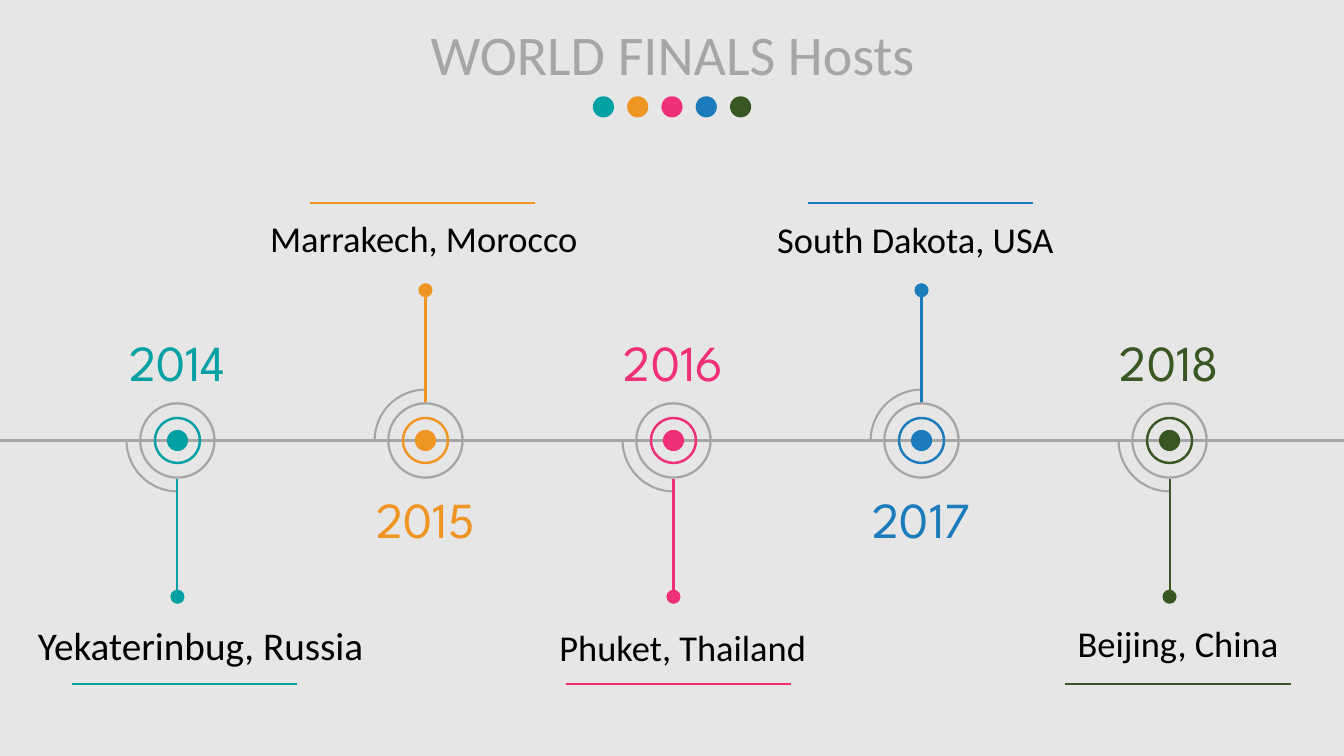
from pptx import Presentation
from pptx.dml.color import RGBColor
from pptx.enum.shapes import MSO_CONNECTOR, MSO_SHAPE
from pptx.enum.text import MSO_AUTO_SIZE, PP_ALIGN
from pptx.oxml.ns import qn
from pptx.util import Inches, Pt
from lxml import etree

LINE = MSO_CONNECTOR.STRAIGHT
OVAL, RING, ARC = MSO_SHAPE.OVAL, MSO_SHAPE.DONUT, MSO_SHAPE.ARC
GROW = MSO_AUTO_SIZE.SHAPE_TO_FIT_TEXT
CENTER, LEFT = PP_ALIGN.CENTER, PP_ALIGN.LEFT

GREY, BLACK, BACK = "A6A6A6", "000000", "E7E6E6"
TITLE = "WORLD FINALS Hosts"
BODY, HEAD = "Calibri", "League Spartan"

# year, place, colour, label box, label size, label indent, left end of rule
HOSTS = [
    ("2014", "Yekaterinbug, Russia", "03A1A4", (0.24, 6.11, 3.5, 0.57), 28, 0, 0.71),
    ("2015", "Marrakech, Morocco", "EE9524", (1.58, 2.09, 4.38, 0.54), 26, 1, 3.07),
    ("2016", "Phuket, Thailand", "EF3078", (4.45, 6.15, 4.42, 0.54), 26, 1, 5.61),
    ("2017", "South Dakota, USA", "1C7CBB", (6.61, 2.11, 4.79, 0.54), 26, 1, 8.01),
    ("2018", "Beijing, China", "385723", (9.59, 6.11, 3.5, 0.54), 26, 1, 10.56),
]
WIDE, TALL = 13.33, 7.5
AXIS, START, STEP = 4.37, 1.76, 2.46
RULE = 2.24
# year top, stem start, stem end, pin centre, rule height
UP = (4.79, 3.99, 2.86, 2.88, 2.01)
DOWN = (3.24, 4.75, 5.88, 5.92, 6.79)

prs = Presentation()
prs.slide_width, prs.slide_height = Inches(WIDE), Inches(TALL)
slide = prs.slides.add_slide(prs.slide_layouts[6])


def rgb(color):
    return RGBColor.from_string(color)


def line(x1, y1, x2, y2, color):
    item = slide.shapes.add_connector(
        LINE, Inches(x1), Inches(y1), Inches(x2), Inches(y2))
    item.line.color.rgb = rgb(color)
    item.line.width = Pt(1.5)
    etree.SubElement(item.element.spPr, qn("a:effectLst"))


def round_shape(kind, x, y, size, color, adjust=()):
    """Add a circle, ring or arc centred on x, y."""
    item = slide.shapes.add_shape(
        kind, Inches(x - size / 2), Inches(y - size / 2), Inches(size), Inches(size))
    item.shadow.inherit = False
    for i, value in enumerate(adjust):
        item.adjustments[i] = value
    if kind == ARC:
        item.fill.background()
        item.line.color.rgb = rgb(color)
        item.line.width = Pt(1.5)
    else:
        item.fill.solid()
        item.fill.fore_color.rgb = rgb(color)
        item.line.fill.background()
    return item


def label(words, box, size, face, color, indent=0):
    """Add centred text, or left-aligned text when it is indented."""
    frame = slide.shapes.add_textbox(*map(Inches, box)).text_frame
    frame.word_wrap = True
    frame.auto_size = GROW
    frame.text = words
    para = frame.paragraphs[0]
    para.alignment = LEFT if indent else CENTER
    if indent:
        props = para._p.get_or_add_pPr()
        props.set("marL", str(Inches(indent)))
        props.set("indent", "0")
    font = para.runs[0].font
    font.size, font.name = Pt(size), face
    font.color.rgb = rgb(color)


slide.background.fill.solid()
slide.background.fill.fore_color.rgb = rgb(BACK)
line(0, AXIS, WIDE, AXIS, GREY)

for i, (year, place, color, box, size, indent, left) in enumerate(HOSTS):
    x = START + i * STEP
    up = i % 2 == 1
    top, near, far, pin, rule = UP if up else DOWN
    arc = round_shape(ARC, x, AXIS, 1.01, GREY, (54.2, 108.53))
    arc.rotation = 90 if up else 0
    round_shape(OVAL, x, AXIS, 0.21, color)
    round_shape(RING, x, AXIS, 0.47, color, (0.05,))
    round_shape(RING, x, AXIS, 0.76, GREY, (0.03,))
    line(x, near, x, far, color)
    round_shape(OVAL, x, pin, 0.14, color)
    label(year, (x - 0.83, top, 1.66, 0.71), 36, HEAD, color)
    label(place, box, size, BODY, BLACK, indent)
    line(left, rule, left + RULE, rule, color)
    round_shape(OVAL, WIDE / 2 + (i - 2) * 0.34, 1.06, 0.21, color)

label(TITLE, (2.69, 0.14, 7.96, 0.77), 40, BODY, GREY)
prs.save("out.pptx")
